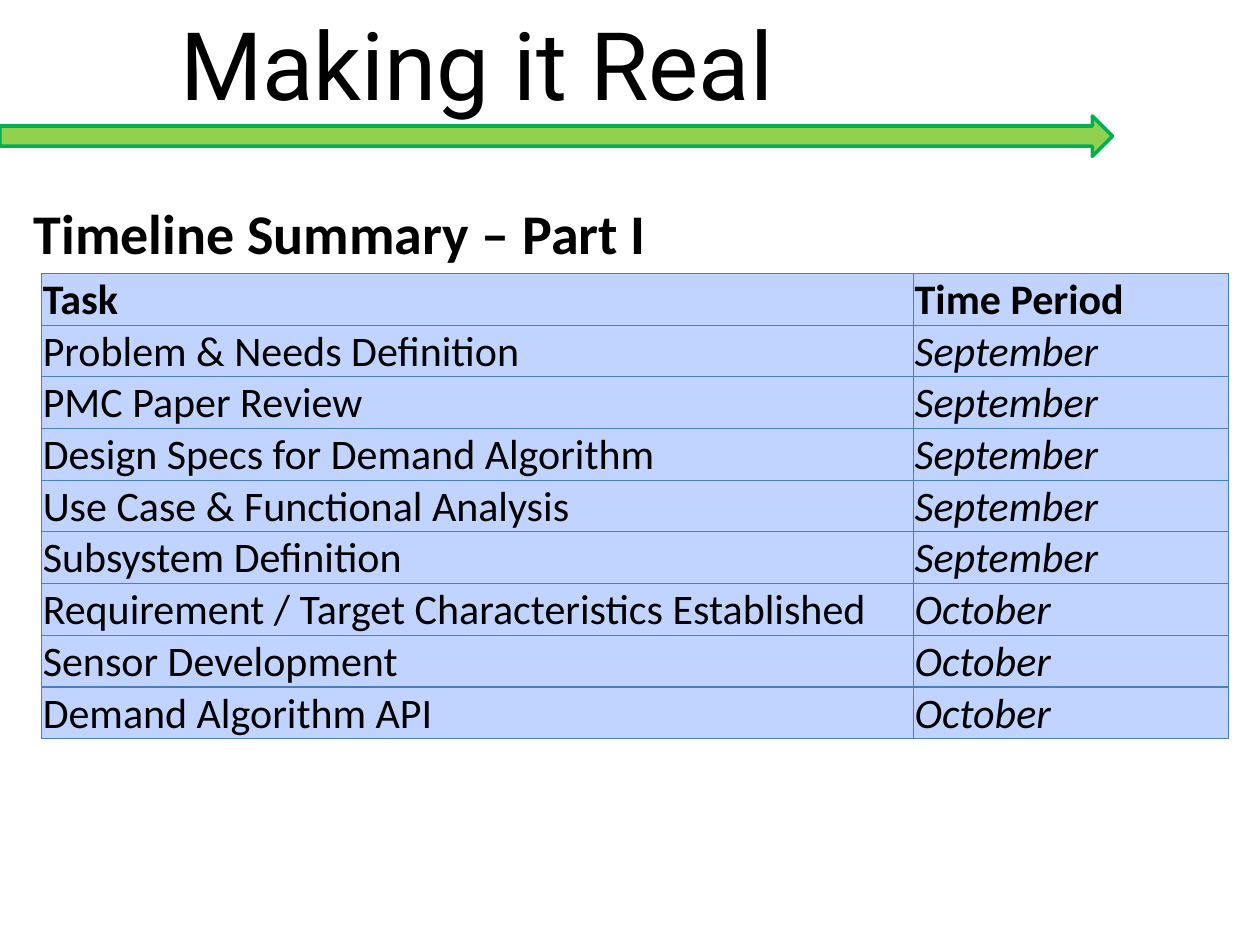
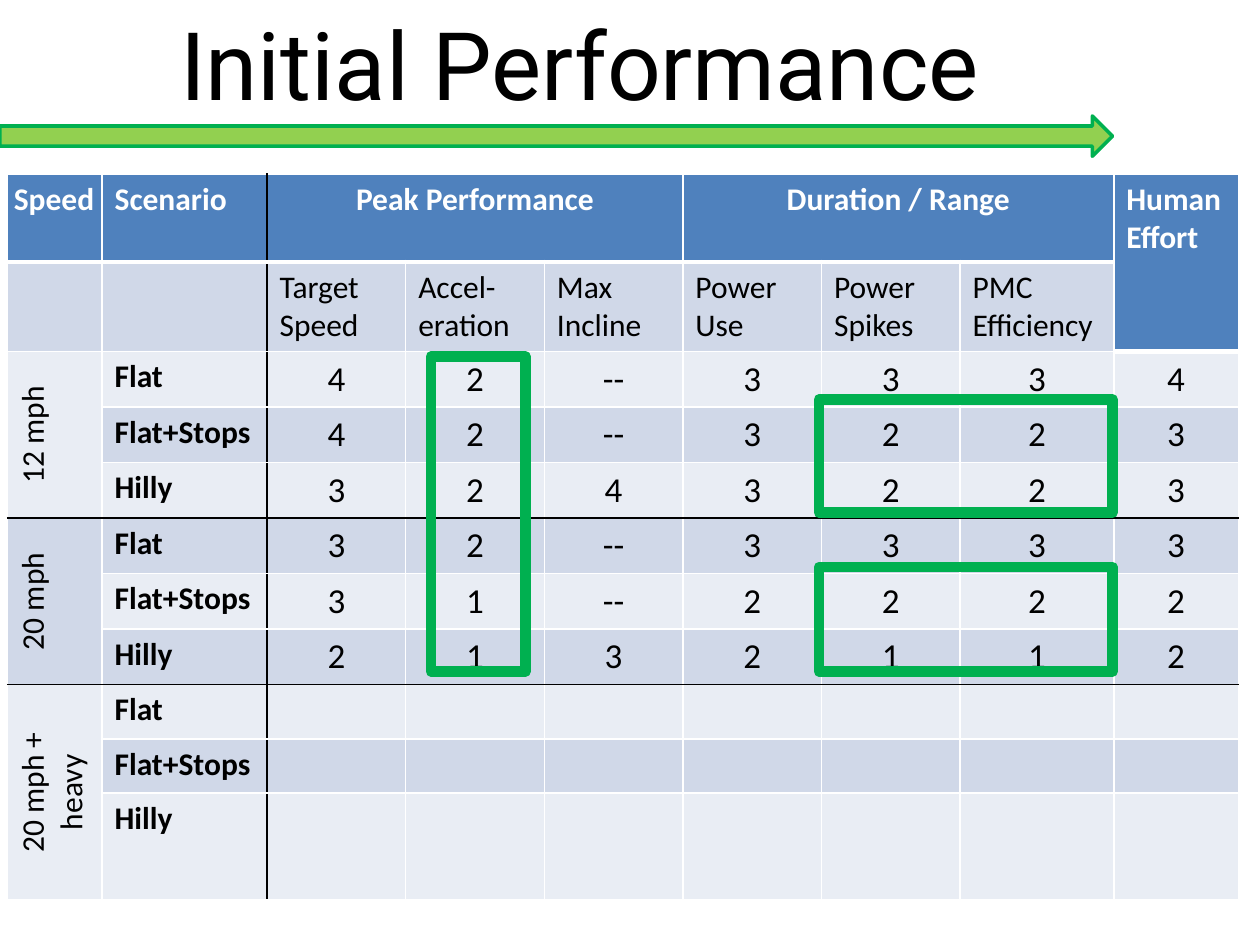
from lxml.etree import SubElement
from pptx import Presentation
from pptx.dml.color import RGBColor
from pptx.enum.shapes import MSO_SHAPE
from pptx.enum.text import MSO_ANCHOR, MSO_AUTO_SIZE, PP_ALIGN
from pptx.oxml.ns import qn
from pptx.util import Inches, Pt

HUES = {
    "black": "000000", "white": "FFFFFF", "lime": "92D050", "green": "00B050",
    "sky": "C0D4FF", "rule": "4B7EBC", "head": "4F81BD", "odd": "D0D8E8", "even": "E9EDF4",
}


def put(frame, text, size=18, font="Calibri", hue="black", bold=False, slant=False, align=PP_ALIGN.LEFT):
    para = frame.paragraphs[0]
    para.alignment = align
    run = para.add_run()
    run.text = text
    run.font.size = Pt(size)
    run.font.name = font
    run.font.bold = bold
    run.font.italic = slant
    run.font.color.rgb = RGBColor.from_string(HUES[hue])


def dress(cell, fill, edges):
    props = cell._tc.get_or_add_tcPr()
    for side, (hue, width) in zip("LRTB", edges):
        line = SubElement(props, qn(f"a:ln{side}"), w=str(Pt(width)))
        solid = SubElement(line, qn("a:solidFill"))
        SubElement(solid, qn("a:srgbClr"), val=HUES[hue])
    cell.fill.solid()
    cell.fill.fore_color.rgb = RGBColor.from_string(HUES[fill])


deck = Presentation()
deck.slide_width, deck.slide_height = Inches(10), Inches(7.5)

slides = []
for name in ("Making it Real", "Initial Performance"):
    slide = deck.slides.add_slide(deck.slide_layouts[5])
    title = slide.shapes.title
    title.left, title.top = Inches(1.33), Inches(0)
    title.width, title.height = Inches(8.83), Inches(1.01)
    frame = title.text_frame
    frame.auto_size = MSO_AUTO_SIZE.NONE
    frame.vertical_anchor = MSO_ANCHOR.TOP
    put(frame, name, size=54, font="Roboto")
    arrow = slide.shapes.add_shape(
        MSO_SHAPE.RIGHT_ARROW, Inches(0), Inches(0.92), Inches(8.83), Inches(0.32))
    arrow.shadow.inherit = False
    arrow.fill.solid()
    arrow.fill.fore_color.rgb = RGBColor.from_string(HUES["lime"])
    arrow.line.color.rgb = RGBColor.from_string(HUES["green"])
    arrow.line.width = Pt(2)
    slides.append(slide)

plan, score = slides

label = plan.shapes.add_textbox(Inches(0.17), Inches(1.53), Inches(5.11), Inches(0.64))
label.text_frame.word_wrap = False
put(label.text_frame, "Timeline Summary – Part I", size=32, bold=True)

tasks = [
    ("Task", "Time Period"),
    ("Problem & Needs Definition", "September"),
    ("PMC Paper Review", "September"),
    ("Design Specs for Demand Algorithm", "September"),
    ("Use Case & Functional Analysis", "September"),
    ("Subsystem Definition", "September"),
    ("Requirement / Target Characteristics Established", "October"),
    ("Sensor Development", "October"),
    ("Demand Algorithm API", "October"),
]
table = plan.shapes.add_table(
    len(tasks), 2, Inches(0.33), Inches(2.17), Inches(9.42), Inches(3.69)).table
table.first_row = table.horz_banding = False
table.columns[0].width, table.columns[1].width = Inches(6.92), Inches(2.5)
for r, pair in enumerate(tasks):
    for c, text in enumerate(pair):
        cell = table.cell(r, c)
        cell.margin_left = cell.margin_right = cell.margin_top = Inches(0.01)
        cell.margin_bottom = 0
        cell.vertical_anchor = MSO_ANCHOR.BOTTOM
        dress(cell, "sky", [("rule", 0.75)] * 4)
        put(cell.text_frame, text, size=24, bold=r == 0, slant=r > 0 and c == 1)

heads = {0: "Speed", 1: "Scenario", 2: "Peak Performance", 5: "Duration / Range", 8: "Human Effort"}
traits = ["Target Speed", "Accel-eration", "Max Incline", "Power Use", "Power Spikes", "PMC Efficiency"]
groups = {2: "12 mph", 5: "20 mph", 8: "20 mph + heavy"}
rides = ["Flat", "Flat+Stops", "Hilly"]
marks = [
    ["4", "2", "--", "3", "3", "3", "4"],
    ["4", "2", "--", "3", "2", "2", "3"],
    ["3", "2", "4", "3", "2", "2", "3"],
    ["3", "2", "--", "3", "3", "3", "3"],
    ["3", "1", "--", "2", "2", "2", "2"],
    ["2", "1", "3", "2", "1", "1", "2"],
]
wide = [0.75, 1.31] + [1.1] * 5 + [1.22, 0.99]
tall = [0.7, 0.69] + [0.43] * 8 + [0.84]
grid = score.shapes.add_table(
    len(tall), len(wide), Inches(0.06), Inches(1.38), Inches(sum(wide)), Inches(sum(tall))).table
grid.first_row = grid.horz_banding = False
for col, width in zip(grid.columns, wide):
    col.width = Inches(width)
for row, height in zip(grid.rows, tall):
    row.height = Inches(height)

for r in range(len(tall)):
    for c in range(len(wide)):
        top = r == 0 or (r == 1 and c == 8)
        left = "black" if c == 2 else "white"
        right = "black" if c == 1 else "white"
        above = "black" if r in (5, 8) else "white"
        below = "black" if r in (4, 7) or (c == 0 and r in (2, 5)) else "white"
        fill = "head" if top else "odd" if r % 2 else "even"
        dress(grid.cell(r, c), fill, [(left, 1), (right, 1), (above, 1), (below, 3 if top else 1)])

for first, last in [((0, 2), (0, 4)), ((0, 5), (0, 7)), ((0, 8), (1, 8))]:
    grid.cell(*first).merge(grid.cell(*last))
for c, text in heads.items():
    align = PP_ALIGN.CENTER if c in (2, 5) else PP_ALIGN.LEFT
    put(grid.cell(0, c).text_frame, text, hue="white", bold=True, align=align)
speed = grid.cell(0, 0)
speed.margin_left = speed.margin_right = speed.margin_top = speed.margin_bottom = Inches(0.05)
for c, text in enumerate(traits, 2):
    put(grid.cell(1, c).text_frame, text)
for r, text in groups.items():
    cell = grid.cell(r, 0)
    cell.merge(grid.cell(r + 2, 0))
    cell.vertical_anchor = MSO_ANCHOR.MIDDLE
    cell._tc.get_or_add_tcPr().set("vert", "vert270")
    put(cell.text_frame, text, align=PP_ALIGN.CENTER)
    for step, ride in enumerate(rides):
        put(grid.cell(r + step, 1).text_frame, ride, bold=True)
for r, line in enumerate(marks, 2):
    for c, mark in enumerate(line, 2):
        put(grid.cell(r, c).text_frame, mark, size=20, align=PP_ALIGN.CENTER)

for spot in [(3.42, 2.83, 0.75, 2.5), (6.5, 4.5, 2.33, 0.83), (6.5, 3.17, 2.33, 0.9)]:
    frame = score.shapes.add_shape(MSO_SHAPE.RECTANGLE, *map(Inches, spot))
    frame.shadow.inherit = False
    frame.fill.background()
    frame.line.color.rgb = RGBColor.from_string(HUES["green"])
    frame.line.width = Pt(6)

deck.save("out.pptx")
